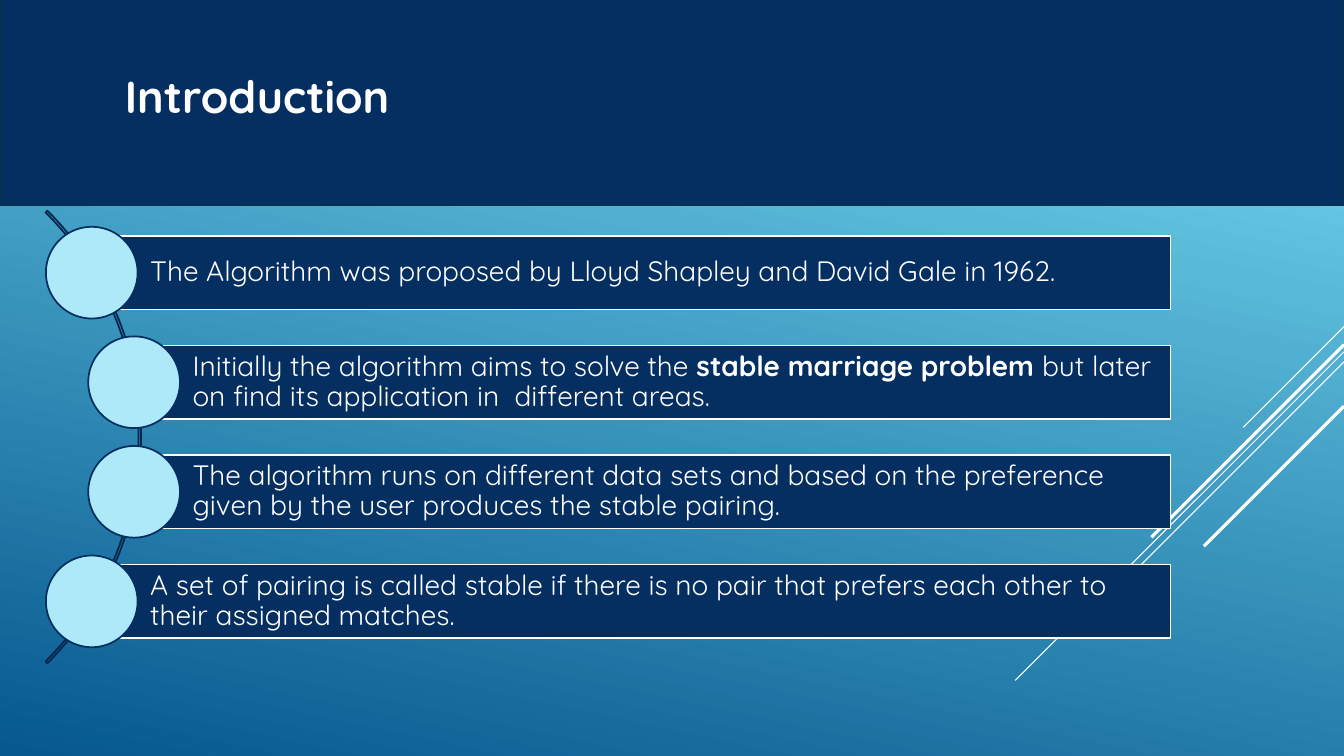
"""Build the introduction slide on the stable marriage algorithm."""
from lxml.etree import SubElement
from pptx import Presentation
from pptx.dml.color import RGBColor
from pptx.enum.shapes import MSO_CONNECTOR as Connector, MSO_SHAPE as Shape
from pptx.enum.text import MSO_ANCHOR as Anchor, PP_ALIGN as Align
from pptx.oxml.ns import qn
from pptx.util import Inches, Pt

WHITE = RGBColor(0xFF, 0xFF, 0xFF)
NAVY = RGBColor(0x05, 0x2F, 0x61)
ARC_NAVY = RGBColor(0x04, 0x26, 0x4E)
BAND_EDGE = RGBColor(0x04, 0x31, 0x48)
PALE_BLUE = RGBColor(0xAD, 0xE9, 0xF8)
SKY = RGBColor(0x6E, 0xD2, 0xEB)
DEEP_BLUE = RGBColor(0x06, 0x58, 0x8E)

WIDTH, HEIGHT = 13.33, 7.5
ROW_TOP, ROW_PITCH, BAR_HEIGHT, BAR_RIGHT = 2.34, 1.087, 0.73, 11.61
DOT, ARC = 0.91, 6.35
STREAKS = [(3.24, 1, 0.75), (3.49, 3.26, 0.75), (3.59, 2.07, 0.75),
           (3.42, 1.91, 2.25), (4.03, 1.39, 2.25)]
ROWS = [
    (0.91, [("The Algorithm was proposed by Lloyd Shapley and David Gale in 1962.", False)]),
    (1.33, [("Initially the algorithm aims to solve the ", False),
            ("stable marriage problem ", True),
            ("but later on find its application in  different areas.", False)]),
    (1.33, [("The algorithm runs on different data sets and based on the preference "
             "given by the user produces the stable pairing.", False)]),
    (0.91, [("A set of pairing is called stable if there is no pair that prefers "
             "each other to their assigned matches.", False)]),
]

presentation = Presentation()
presentation.slide_width, presentation.slide_height = Inches(WIDTH), Inches(HEIGHT)
slide = presentation.slides.add_slide(presentation.slide_layouts[6])


def add_shape(kind, left, top, width, height, fill, line):
    shape = slide.shapes.add_shape(
        kind, Inches(left), Inches(top), Inches(width), Inches(height))
    shape.shadow.inherit = False
    shape.fill.solid()
    shape.fill.fore_color.rgb = fill
    shape.line.color.rgb = line
    shape.line.width = Pt(1.25)
    return shape


def add_run(paragraph, text, size, bold):
    run = paragraph.add_run()
    run.text = text
    run.font.name = "Quicksand"
    run.font.size = Pt(size)
    run.font.bold = bold
    run.font.color.rgb = WHITE


background = slide.background.fill
background.gradient()
background.gradient_angle = 258
for stop, color, position in zip(background.gradient_stops, (SKY, DEEP_BLUE), (0.1, 1)):
    stop.color.rgb = color
    stop.position = position

for top, reach, weight in STREAKS:
    streak = slide.shapes.add_connector(
        Connector.STRAIGHT, Inches(WIDTH), Inches(top),
        Inches(WIDTH - reach), Inches(top + reach))
    streak.line.color.rgb = WHITE
    streak.line.width = Pt(weight)
    SubElement(streak._element.spPr, qn("a:effectLst"))

arc = add_shape(Shape.BLOCK_ARC, -4.95, 1.16, ARC, ARC, ARC_NAVY, ARC_NAVY)
arc.fill.background()
for index, value in enumerate((189, 27, 0.004)):
    arc.adjustments[index] = value

for row, (left, pieces) in enumerate(ROWS):
    top = ROW_TOP + row * ROW_PITCH
    bar = add_shape(Shape.RECTANGLE, left, top, BAR_RIGHT - left, BAR_HEIGHT, NAVY, WHITE)
    frame = bar.text_frame
    frame.word_wrap = True
    frame.vertical_anchor = Anchor.MIDDLE
    frame.margin_left = Inches(0.58)
    frame.margin_top = frame.margin_right = frame.margin_bottom = Inches(0.06)
    paragraph = frame.paragraphs[0]
    paragraph.alignment = Align.LEFT
    paragraph.line_spacing = 0.9
    for text, bold in pieces:
        add_run(paragraph, text, 20, bold)
    add_shape(Shape.OVAL, left - DOT / 2, top + (BAR_HEIGHT - DOT) / 2, DOT, DOT,
              PALE_BLUE, NAVY)

add_shape(Shape.RECTANGLE, 0, -0.06, WIDTH, 2.1, NAVY, BAND_EDGE)
title = slide.shapes.add_textbox(Inches(1.14), Inches(0.63), Inches(6.51), Inches(0.94))
title.text_frame.word_wrap = True
add_run(title.text_frame.paragraphs[0], "Introduction", 32, True)

presentation.save("out.pptx")
